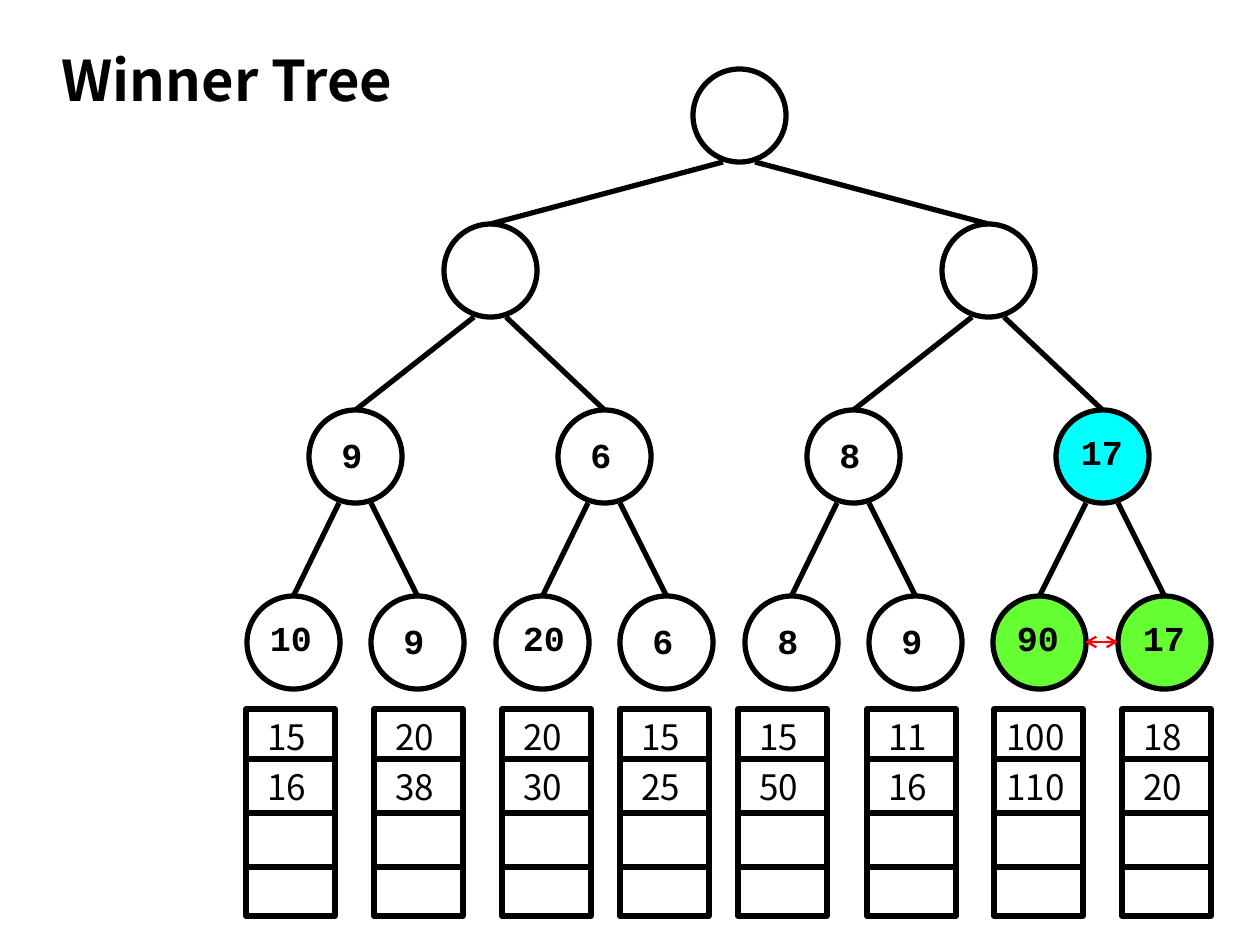
from lxml import etree
from pptx import Presentation
from pptx.dml.color import RGBColor
from pptx.enum.shapes import MSO_CONNECTOR, MSO_SHAPE
from pptx.enum.text import MSO_AUTO_SIZE, PP_ALIGN
from pptx.oxml.ns import qn
from pptx.util import Emu, Pt

STRAIGHT = MSO_CONNECTOR.STRAIGHT
OVAL, RECT = MSO_SHAPE.OVAL, MSO_SHAPE.RECTANGLE
GROW = MSO_AUTO_SIZE.SHAPE_TO_FIT_TEXT
LEFT, CENTER = PP_ALIGN.LEFT, PP_ALIGN.CENTER

SCALE = 914400 / 126  # EMU in one px
BLACK, RED, GREEN, CYAN = "000000", "FF0000", "66FF33", "00FFFF"
SANS, MONO = "Noto Sans CJK KR", "Courier New"

NODE = 93   # node diameter
FORK = 16   # how far an edge starts from the middle of its parent
TEXT_H = 55

# Each level: top, node centres, labels
LEVELS = [
    (69, [739], [""]),
    (224, [490, 988], ["", ""]),
    (410, [355 + 249 * i for i in range(4)], ["9", "6", "8", "17"]),
    (596, [293 + round(124.4 * i) for i in range(8)],
     ["10", "9", "20", "6", "8", "9", "90", "17"]),
]
FILLS = {(2, 3): CYAN, (3, 6): GREEN, (3, 7): GREEN}
SHIFTS = {(2, 3): 0, (3, 0): -2, (3, 2): 2, (3, 6): -1, (3, 7): 0}

# Each run: left edge, values waiting below the leaf
RUNS = [
    (246, ["15", "16"]), (374, ["20", "38"]),
    (502, ["20", "30"]), (620, ["15", "25"]),
    (738, ["15", "50"]), (867, ["11", "16"]),
    (994, ["100", "110"]), (1122, ["18", "20"]),
]
RUN_TOP, RUN_W, RUN_H = 709, 89, 207
RULES = [759, 813, 867]


def px(n):
    return Emu(round(n * SCALE))


def color(code):
    return RGBColor.from_string(code)


class Board:
    """The current slide with its line and text style."""

    def __init__(self, slide):
        self.shapes = slide.shapes

    def shape(self, kind, x, y, w, h, fill=None):
        item = self.shapes.add_shape(kind, px(x), px(y), px(w), px(h))
        item.shadow.inherit = False
        if fill:
            item.fill.solid()
            item.fill.fore_color.rgb = color(fill)
        else:
            item.fill.background()
        item.line.color.rgb = color(BLACK)
        item.line.width = Pt(3)
        return item

    def line(self, x1, y1, x2, y2, ink=BLACK, width=3, arrows=False):
        item = self.shapes.add_connector(STRAIGHT, px(x1), px(y1), px(x2), px(y2))
        item.line.color.rgb = color(ink)
        item.line.width = Pt(width)
        if arrows:
            ln = item.line._get_or_add_ln()
            for tag in ("a:headEnd", "a:tailEnd"):
                etree.SubElement(ln, qn(tag), type="arrow")
        etree.SubElement(item._element.spPr, qn("a:effectLst"))
        return item

    def text(self, words, x, y, w, h=TEXT_H, font=SANS, size=20, bold=False, align=LEFT):
        frame = self.shapes.add_textbox(px(x), px(y), px(w), px(h)).text_frame
        frame.word_wrap = True
        frame.auto_size = GROW
        para = frame.paragraphs[0]
        para.alignment = align
        run = para.add_run()
        run.text = words
        run.font.name = font
        run.font.size = Pt(size)
        run.font.bold = bold
        run.font.color.rgb = color(BLACK)

    def node(self, mid, top, label, fill, shift):
        item = self.shape(OVAL, mid - NODE // 2, top, NODE, NODE, fill)
        if label:
            drop = 17 if len(label) == 1 else 14
            self.text(label, mid + shift - 45, top + drop, 90,
                      font=MONO, bold=True, align=CENTER)
        return item

    def tree(self):
        for depth, (top, mids, labels) in enumerate(LEVELS):
            for i, (mid, label) in enumerate(zip(mids, labels)):
                key = (depth, i)
                item = self.node(mid, top, label, FILLS.get(key), SHIFTS.get(key, -3))
                if depth:
                    above, parents, _ = LEVELS[depth - 1]
                    side = FORK if i % 2 else -FORK
                    edge = self.line(parents[i // 2] + side, above + NODE, mid, top)
                    edge.end_connect(item, 0)

    def column(self, x, values):
        self.shape(RECT, x, RUN_TOP, RUN_W, RUN_H)
        for y in RULES:
            self.line(x, y, x + RUN_W, y)
        for y, value in zip([RUN_TOP] + RULES, values):
            pad = 9 if len(value) < 3 else 0
            self.text(value, x + pad, y, RUN_W - 2 * pad)


def main():
    deck = Presentation()
    deck.slide_width, deck.slide_height = px(1260), px(945)
    board = Board(deck.slides.add_slide(deck.slide_layouts[6]))
    board.tree()
    for x, values in RUNS:
        board.column(x, values)
    board.text("Winner Tree", 49, 39, 423, 81, size=32, bold=True)
    top, mids, _ = LEVELS[-1]
    y = top + NODE // 2
    board.line(mids[6] + NODE // 2, y, mids[7] - NODE // 2, y, RED, 1.25, arrows=True)
    deck.save("out.pptx")


if __name__ == "__main__":
    main()
